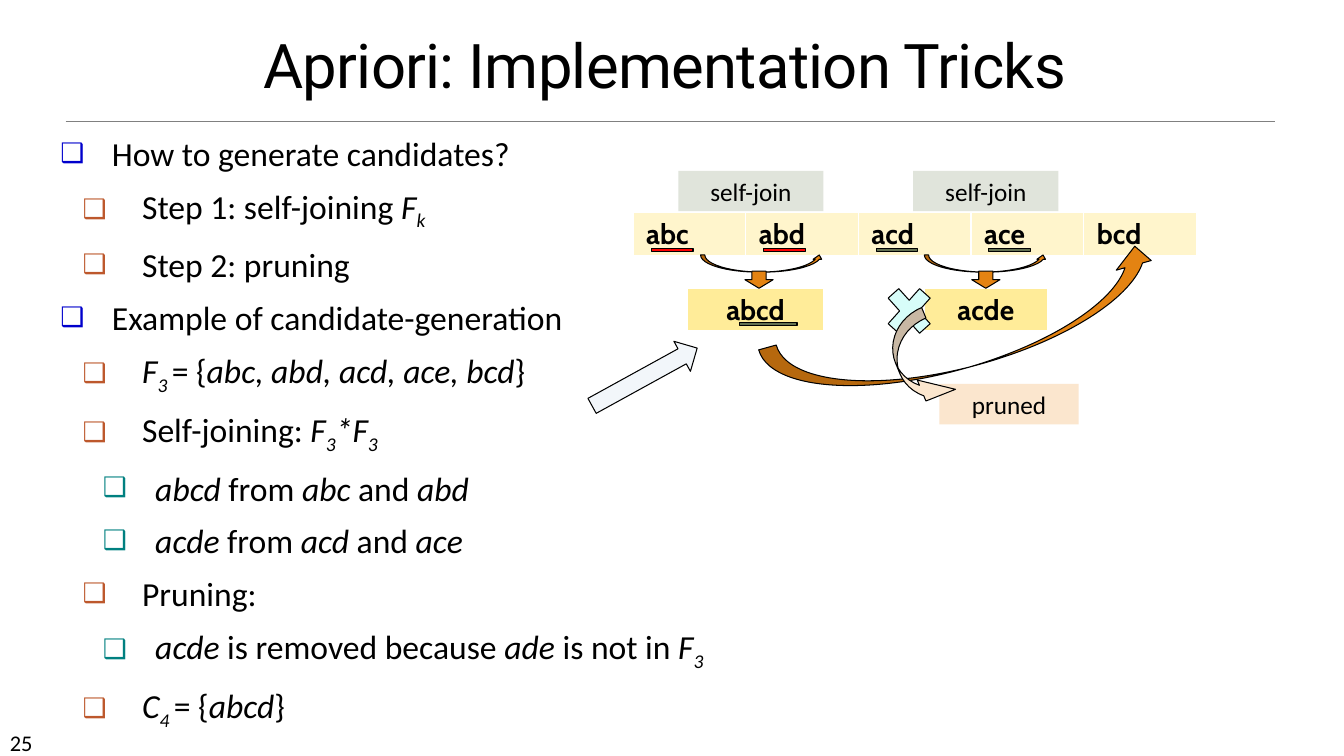
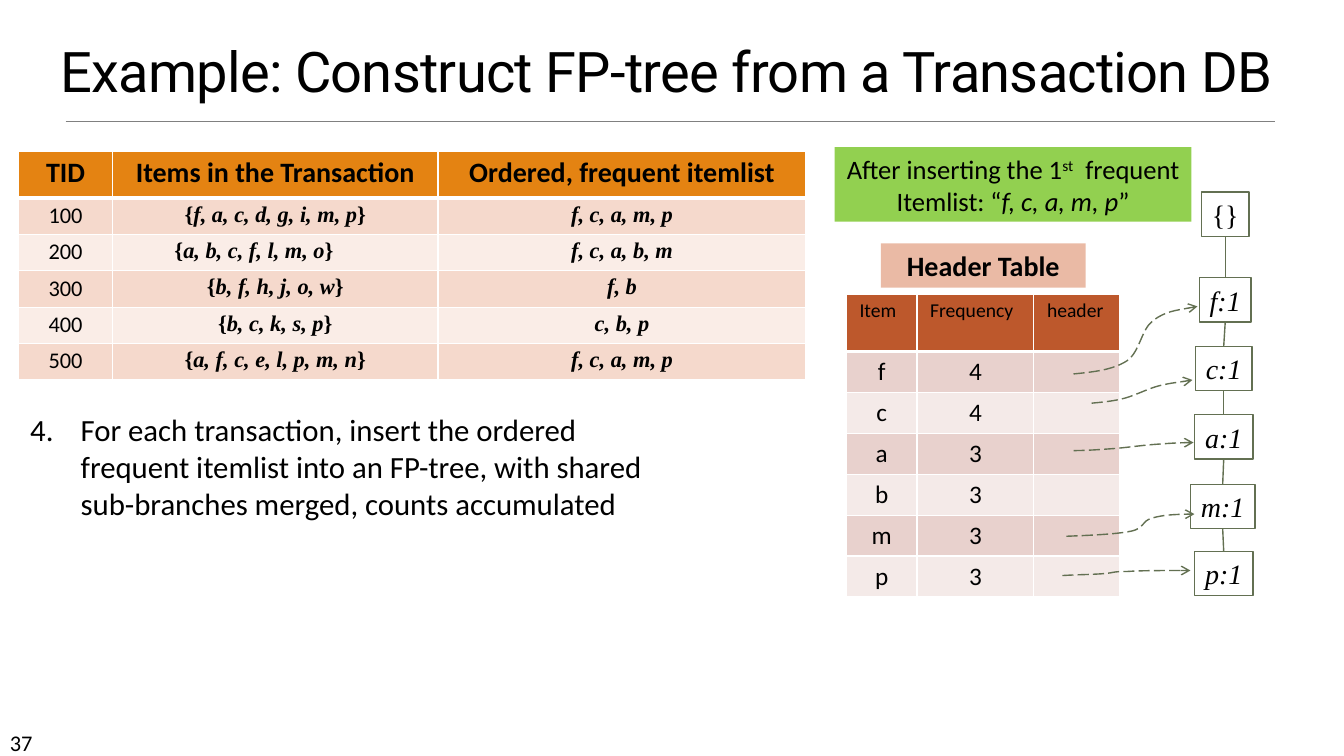
from dataclasses import dataclass

from lxml.etree import SubElement
from pptx import Presentation
from pptx.dml.color import RGBColor
from pptx.enum.dml import MSO_LINE
from pptx.enum.shapes import MSO_CONNECTOR, MSO_SHAPE as Shape
from pptx.enum.text import MSO_ANCHOR as Anchor, MSO_AUTO_SIZE, PP_ALIGN as Align
from pptx.oxml.ns import qn
from pptx.util import Emu, Inches, Pt

SLIDE_WIDTH, SLIDE_HEIGHT = Inches(40 / 3), Inches(7.5)
COLUMN, ROW = SLIDE_WIDTH / 133.33, SLIDE_HEIGHT / 75

BLACK = RGBColor(0x00, 0x00, 0x00)
GRAY = RGBColor(0x80, 0x80, 0x80)
RED = RGBColor(0xFF, 0x00, 0x00)
ORANGE = RGBColor(0xE4, 0x83, 0x12)
RUST = RGBColor(0xBD, 0x58, 0x2C)
OLIVE = RGBColor(0x63, 0x70, 0x52)
SAGE = RGBColor(0xE0, 0xE4, 0xDB)
CREAM = RGBColor(0xFF, 0xF5, 0xCC)
YELLOW = RGBColor(0xFF, 0xEC, 0x99)
AQUA = RGBColor(0xD7, 0xFD, 0xF9)
PEACH = RGBColor(0xFB, 0xE6, 0xCE)
ICE = RGBColor(0xF2, 0xF6, 0xFA)
SALMON = RGBColor(0xEA, 0xBA, 0xA5)
GREEN = RGBColor(0x92, 0xD0, 0x50)
ORANGE_BANDS = RGBColor(0xF5, 0xD9, 0xCC), RGBColor(0xFA, 0xED, 0xE7)
RUST_BANDS = RGBColor(0xE8, 0xD1, 0xCD), RGBColor(0xF4, 0xEA, 0xE8)

BULLET_LEVELS = [(0.51, -0.51, "0000CC"), (0.81, -0.59, "BD582C"), (0.94, -0.52, "008080")]
MARKS = {"_": ("baseline", "-25000"), "^": ("baseline", "30000"), "w": ("spc", "430")}


@dataclass(frozen=True)
class TextStyle:
    """Font, size, weight and alignment of a text."""
    size: float
    font: str = "Calibri"
    bold: bool = False
    align: Align = Align.CENTER


LABEL = TextStyle(18)
ITEMSET = TextStyle(20, "Cabin", True)
ITEMSET_LEFT = TextStyle(20, "Cabin", True, Align.LEFT)
HEADING = TextStyle(20, bold=True)
TRANSACTION = TextStyle(16, "Times New Roman", True)
NODE = TextStyle(20, "Times New Roman")


def grid(left, top, width, height):
    """Turn grid columns and rows into a position and size."""
    return [Emu(round(n * unit)) for n, unit in
            zip((left, top, width, height), (COLUMN, ROW, COLUMN, ROW))]


def add_runs(paragraph, runs, style):
    """Add runs; marks are i italic, _ subscript, ^ superscript, w wide."""
    paragraph.alignment = style.align
    for piece in runs:
        text, marks = (piece, "") if isinstance(piece, str) else piece
        run = paragraph.add_run()
        run.text = text
        run.font.name, run.font.size = style.font, Pt(style.size)
        run.font.bold, run.font.italic = style.bold, "i" in marks
        run.font.color.rgb = BLACK
        for mark in marks.replace("i", ""):
            run._r.get_or_add_rPr().set(*MARKS[mark])


def add_paragraphs(text_frame, lines, style):
    """Fill a text frame with one paragraph per line and return them."""
    for index, runs in enumerate(lines):
        paragraph = text_frame.add_paragraph() if index else text_frame.paragraphs[0]
        add_runs(paragraph, runs, style)
    return text_frame.paragraphs


def set_bullet(paragraph, left, indent):
    """Set the hanging indent and return the paragraph properties."""
    properties = paragraph._p.get_or_add_pPr()
    properties.set("marL", str(Inches(left)))
    properties.set("indent", str(Inches(indent)))
    return properties


def add_frame(presentation, title, title_size, title_box, number):
    """Add a slide with its title, rule and page number."""
    slide = presentation.slides.add_slide(presentation.slide_layouts[1])
    shape = slide.shapes.title
    shape.left, shape.top, shape.width, shape.height = grid(*title_box)
    frame = shape.text_frame
    frame.auto_size, frame.vertical_anchor = MSO_AUTO_SIZE.NONE, Anchor.BOTTOM
    paragraph, = add_paragraphs(frame, [[title]], TextStyle(title_size, "Roboto"))
    paragraph.line_spacing = 0.85
    paragraph.runs[0]._r.get_or_add_rPr().set("spc", "-50")
    rule = add_line(slide, GRAY, 0.5)
    rule.begin_x, rule.begin_y, rule.end_x, rule.end_y = grid(6.5, 12, 126.5, 12)
    box = slide.shapes.add_textbox(*grid(0, 71.8, 11.7, 3))
    box.text_frame.word_wrap = True
    add_paragraphs(box.text_frame, [[number]], TextStyle(16, align=Align.LEFT))
    return slide


def fill_body(slide, box, lines, size):
    """Move the body placeholder, fill it and return its paragraphs."""
    body = slide.placeholders[1]
    body.left, body.top, body.width, body.height = grid(*box)
    body.text_frame.auto_size = MSO_AUTO_SIZE.NONE
    paragraphs = add_paragraphs(body.text_frame, lines, TextStyle(size, align=Align.LEFT))
    for index, paragraph in enumerate(paragraphs):
        paragraph.space_before = Pt(6 if index else 0)
    return paragraphs


def add_line(slide, color, width):
    """Add a straight connector without shadow."""
    line = slide.shapes.add_connector(MSO_CONNECTOR.STRAIGHT, 0, 0, 0, 0)
    line.line.color.rgb, line.line.width = color, Pt(width)
    SubElement(line._element.spPr, qn("a:effectLst"))
    return line


def add_figure(slide, kind, box, fill=None, outline=BLACK, rotation=0):
    """Add a preset shape with a flat fill and a thin outline."""
    shape = slide.shapes.add_shape(kind, *grid(*box))
    shape.shadow.inherit = False
    shape.rotation = rotation
    if fill is None:
        shape.fill.background()
    else:
        shape.fill.solid()
        shape.fill.fore_color.rgb = fill
    if outline is None:
        shape.line.fill.background()
    else:
        shape.line.color.rgb, shape.line.width = outline, Pt(0.75)
    return shape


def add_underline(slide, box, fill, thickness):
    """Add a bar under the shared items; thickness is a share of its box."""
    add_figure(slide, Shape.MATH_MINUS, box, fill).adjustments[0] = thickness


def add_label(slide, box, lines, fill, style=LABEL):
    """Add a filled rectangle with text."""
    shape = add_figure(slide, Shape.RECTANGLE, box, fill, None)
    shape.text_frame.word_wrap = True
    shape.text_frame.vertical_anchor = Anchor.MIDDLE
    add_paragraphs(shape.text_frame, lines, style)


def add_node(slide, left, top, width, runs):
    """Add an outlined tree node."""
    shape = add_figure(slide, Shape.RECTANGLE, (left, top, width, 4.4), outline=OLIVE)
    shape.line.width = Pt(1)
    shape.text_frame.word_wrap = False
    add_paragraphs(shape.text_frame, [runs], NODE)
    return shape


def add_curve(slide, points):
    """Draw a dashed arrow along joined cubic curves."""
    start, *others = [(x * COLUMN, y * ROW) for x, y in points]
    builder = slide.shapes.build_freeform(*start)
    builder.add_line_segments(others, close=False)
    shape = builder.convert_to_shape()
    outline = shape._element.find(".//" + qn("a:path"))
    for index, segment in enumerate(outline.findall(qn("a:lnTo"))):
        if index % 3 == 0:
            bend = SubElement(outline, qn("a:cubicBezTo"))
        bend.append(segment[0])
        outline.remove(segment)
    shape.shadow.inherit = False
    shape.fill.background()
    shape.line.color.rgb, shape.line.width = OLIVE, Pt(1)
    shape.line.dash_style = MSO_LINE.LONG_DASH
    SubElement(shape._element.spPr.find(qn("a:ln")), qn("a:tailEnd"), type="arrow")


def add_grid_table(slide, corner, widths, heights, rows, header, bands=(), styles=(), pad=0.5):
    """Add a table; header is its fill and style, styles go by column."""
    box = grid(*corner, sum(widths), sum(heights))
    table = slide.shapes.add_table(len(rows), len(widths), *box).table
    table.horz_banding = False
    for column, width in zip(table.columns, widths):
        column.width = Emu(round(width * COLUMN))
    for r, (row, height) in enumerate(zip(rows, heights)):
        table.rows[r].height = Emu(round(height * ROW))
        for c, runs in enumerate(row):
            cell = table.cell(r, c)
            cell.margin_left, cell.margin_top, cell.margin_right, cell.margin_bottom = grid(
                1.3, pad, 1.3, pad)
            if r == 0:
                border = SubElement(cell._tc.get_or_add_tcPr(), qn("a:lnB"), w=str(Pt(3)))
                SubElement(SubElement(border, qn("a:solidFill")), qn("a:srgbClr"), val="FFFFFF")
            cell.fill.solid()
            cell.fill.fore_color.rgb = bands[(r - 1) % 2] if r else header[0]
            add_runs(cell.text_frame.paragraphs[0], runs, styles[c] if r else header[1])


def build_tricks(presentation):
    """Build the slide on candidate generation."""
    slide = add_frame(presentation, "Apriori: Implementation Tricks", 44,
                      (3.8, 2.4, 124.3, 8.1), "25")
    outline = [
        (0, ["How to generate candidates?"]),
        (1, ["Step 1: self-joining ", ("F", "i"), ("k", "i_")]),
        (1, ["Step 2: pruning"]),
        (0, ["Example of candidate-generation"]),
        (1, [("F", "i"), ("3 ", "i_"), "= {", ("abc, abd, acd, ace, bcd", "i"), "}"]),
        (1, ["Self-joining: ", ("F", "i"), ("3", "i_"), ("*F", "i"), ("3", "i_")]),
        (2, [("abcd ", "i"), "from ", ("abc", "i"), " and ", ("abd", "i")]),
        (2, [("acde", "i"), " from ", ("acd", "i"), " and ", ("ace", "i")]),
        (1, ["Pruning:"]),
        (2, [("acde", "i"), " is removed because ", ("ade", "i"), " is not in ",
             ("F", "i"), ("3", "i_")]),
        (1, [("C", "i"), ("4 ", "i_"), "= {", ("abcd", "i"), "}"]),
    ]
    paragraphs = fill_body(slide, (5, 12.26, 76.7, 56.7), [runs for _, runs in outline], 24)
    for paragraph, (level, _) in zip(paragraphs, outline):
        paragraph.level, paragraph.line_spacing = level, 1.1
        left, indent, color = BULLET_LEVELS[level]
        properties = set_bullet(paragraph, left, indent)
        SubElement(SubElement(properties, qn("a:buClr")), qn("a:srgbClr"), val=color)
        SubElement(properties, qn("a:buSzPct"), val="80000")
        SubElement(properties, qn("a:buChar"), char="❑")

    itemsets = [["abc"], ["abd"], ["acd"], ["ace"], ["bcd"]]
    add_grid_table(slide, (62.8, 21.1), [11.18] * 5, [4.3], [itemsets], (CREAM, ITEMSET_LEFT))
    for left in (69.5, 91.7):
        add_figure(slide, Shape.CURVED_UP_ARROW, (left, 25.3, 12.2, 1.7), ORANGE)
    for index, color in enumerate((RED, RED, OLIVE, OLIVE)):
        add_underline(slide, (63.9 + 11.15 * index, 24.4, 5.6, 0.8), color, 0.35)
    for left, width, itemset in ((68.2, 13.5, "abcd"), (91.7, 12.2, "acde")):
        add_grid_table(slide, (left, 28.6), [width], [4.3], [[[itemset]]], (YELLOW, ITEMSET))
    for left in (73.9, 96.4):
        add_figure(slide, Shape.DOWN_ARROW, (left, 26.9, 2.8, 1.7), ORANGE)
    add_underline(slide, (72.3, 31.9, 7.8, 0.5), OLIVE, 0.5)
    add_figure(slide, Shape.CURVED_UP_ARROW, (75.5, 29.2, 40.5, 7.2), ORANGE, rotation=344.6)
    for left in (67.3, 90.6):
        add_label(slide, (left, 16.95, 14.4, 4), [["self-join"]], SAGE)
    add_figure(slide, Shape.MATH_MULTIPLY, (87.2, 27.5, 6, 6.7), AQUA)
    add_label(slide, (93.2, 38.1, 13.8, 4), [["pruned"]], PEACH)
    prune_arrow = add_figure(slide, Shape.CURVED_RIGHT_ARROW, (89, 31, 4.5, 9.9), PEACH,
                             rotation=337.5)
    prune_arrow.adjustments[2] = 0.7
    add_figure(slide, Shape.RIGHT_ARROW, (58, 35.7, 11.9, 3.4), ICE, rotation=331.2)


def build_tree(presentation):
    """Build the slide on the first FP-tree insertion."""
    slide = add_frame(presentation, "Example: Construct FP-tree from a Transaction DB", 40,
                      (2.2, 3.3, 127.8, 7.5), "37")
    step, = fill_body(slide, (2, 40.23, 66.4, 16.4), [[
        "For each transaction, insert the ordered frequent itemlist into an FP-tree, "
        "with shared sub-branches merged, counts accumulated"]], 22)
    SubElement(set_bullet(step, 0.5, -0.5), qn("a:buAutoNum"), type="arabicPeriod", startAt="4")

    frequencies = [("f", "4"), ("c", "4"), ("a", "3"), ("b", "3"), ("m", "3"), ("p", "3")]
    add_grid_table(slide, (83.97, 29.17), [7, 11.6, 8.5], [5.7] + [4.06] * 6,
                   [[["Item"], ["Frequency"], ["header"]]]
                   + [[[item], [count], []] for item, count in frequencies],
                   (RUST, TextStyle(14, align=Align.LEFT)), RUST_BANDS, [LABEL] * 3)
    transactions = [
        ("100", "f, a, c, d, g, i, m, p", "}", "f, c, a, m, p"),
        ("200", "a, b, c, f, l, m, o", "}\t", "f, c, a, b, m"),
        ("300", "b, f, h, j, o, w", "}", "f, b"),
        ("400", "b, c, k, s, p", "}", "c, b, p"),
        ("500", "a, f, c, e, l, p, m, n", "}", "f, c, a, m, p"),
    ]
    add_grid_table(slide, (1.86, 15.06), [9.3, 32.3, 36.5], [4.6] + [3.61] * 5,
                   [[["TID"], ["Items in the Transaction"], ["Ordered, frequent itemlist"]]]
                   + [[[tid], ["{", (items, "i"), close], [(ordered, "i")]]
                      for tid, items, close, ordered in transactions],
                   (ORANGE, HEADING), ORANGE_BANDS,
                   [TextStyle(16), TRANSACTION, TRANSACTION], pad=0.4)

    nodes = [add_node(slide, *node) for node in (
        (119.2, 19.05, 4.7, ["{}"]), (119, 27.55, 5.1, [("f:1", "i")]),
        (118.6, 34.35, 5.6, [("c:1", "i")]), (118.5, 41.15, 5.8, [("a:1", "i")]),
        (118.1, 48.05, 6.4, [("m:1", "i")]), (118.5, 54.7, 5.8, [("p:1", "i")]))]
    for parent, child in zip(nodes, nodes[1:]):
        branch = add_line(slide, OLIVE, 1)
        branch.begin_connect(parent, 2)
        branch.end_connect(child, 0)
    for points in (
        [(106.5, 37.1), (108.5, 36.9), (110.4, 36.7), (111.8, 35.8), (113.1, 34.9),
         (113.2, 32.7), (114.4, 31.8), (115.6, 30.9), (117.2, 30.7), (118.8, 30.4)],
        [(108.3, 40), (109.4, 39.9), (110.5, 39.8), (111.6, 39.5), (112.7, 39.2),
         (113.8, 38.6), (114.9, 38.3), (116.1, 38), (117.2, 37.9), (118.3, 37.7)],
        [(106.5, 44.7), (107.8, 44.7), (109.1, 44.6), (110.5, 44.5), (111.8, 44.4),
         (113.1, 44.2), (114.4, 44.1), (115.7, 44), (117.1, 43.9), (118.4, 43.9)],
        [(105.8, 53.2), (108.3, 53.1), (110.7, 53), (112.2, 52.7), (113.6, 52.4),
         (113.2, 51.7), (114.3, 51.4), (115.3, 51.1), (116.9, 51), (118.5, 51)],
        [(105.4, 57.1), (107, 57), (108.6, 57), (109.6, 56.9), (110.7, 56.8),
         (110.3, 56.7), (111.8, 56.7), (113.2, 56.6), (115.7, 56.6), (118.1, 56.6)],
    ):
        add_curve(slide, points)
    add_label(slide, (87.4, 24.15, 20.3, 4.4), [["Header Table"]], SALMON, HEADING)
    add_label(slide, (82.8, 14.6, 35.4, 7.4),
              [["After inserting the 1", ("st", "^"), (" ", "w"), "frequent"],
               ["Itemlist: “", ("f, c, a, m, p", "i"), "”"]], GREEN, TextStyle(19))


def main():
    """Build and save the presentation."""
    presentation = Presentation()
    presentation.slide_width, presentation.slide_height = SLIDE_WIDTH, SLIDE_HEIGHT
    build_tricks(presentation)
    build_tree(presentation)
    presentation.save("out.pptx")


if __name__ == "__main__":
    main()
